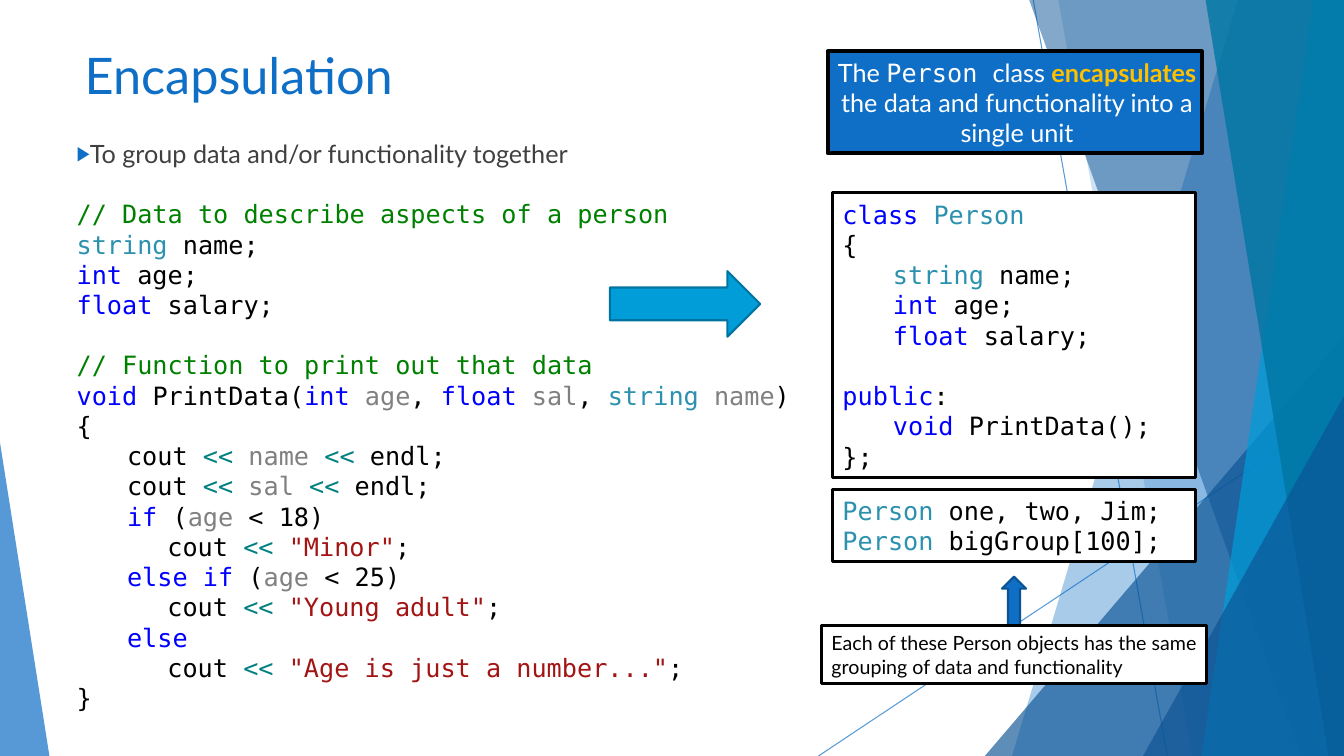
from dataclasses import dataclass

from lxml.etree import SubElement
from pptx import Presentation
from pptx.dml.color import RGBColor
from pptx.enum.shapes import MSO_CONNECTOR, MSO_SHAPE
from pptx.enum.text import MSO_ANCHOR, MSO_AUTO_SIZE, PP_ALIGN
from pptx.oxml.ns import qn
from pptx.slide import Slide
from pptx.text.text import TextFrame
from pptx.util import Emu, Inches, Pt

WIDTH, HEIGHT = Inches(13.33), Inches(7.5)
LATO, MONO = "Lato", "DejaVu Sans Mono"
INDENTS = (0, 0.5, 0.9)

BLUE = RGBColor(0x0F, 0x6F, 0xC6)
NAVY = RGBColor(0x0B, 0x53, 0x94)
CYAN = RGBColor(0x00, 0x9D, 0xD9)
DEEP_CYAN = RGBColor(0x00, 0x76, 0xA3)
CYAN_EDGE = RGBColor(0x00, 0x74, 0xA1)
BLUE_EDGE = RGBColor(0x0B, 0x52, 0x92)
GOLD = RGBColor(0xFF, 0xC0, 0x00)
CHARCOAL = RGBColor(0x40, 0x40, 0x40)
WHITE = RGBColor(0xFF, 0xFF, 0xFF)
BLACK = RGBColor(0x00, 0x00, 0x00)
KEYWORD = RGBColor(0x00, 0x00, 0xFF)
TYPE = RGBColor(0x2B, 0x91, 0xAF)
COMMENT = RGBColor(0x00, 0x80, 0x00)
PARAMETER = RGBColor(0x80, 0x80, 0x80)
OPERATOR = RGBColor(0x00, 0x80, 0x80)
STRING = RGBColor(0xA3, 0x15, 0x15)


@dataclass(frozen=True)
class Span:
    text: str
    color: RGBColor = BLACK
    font: str = MONO
    bold: bool = False


@dataclass(frozen=True)
class Line:
    spans: tuple[Span, ...]
    level: int = 0
    gap: bool = False
    bullet: bool = False


@dataclass(frozen=True)
class Area:
    left: float
    top: float
    width: float
    height: float

    def lengths(self) -> tuple[Emu, Emu, Emu, Emu]:
        return across(self.left), down(self.top), across(self.width), down(self.height)


@dataclass(frozen=True)
class Ray:
    start: tuple[float, float]
    end: tuple[float, float]


@dataclass(frozen=True)
class Band:
    corners: tuple[tuple[float, float], ...]
    color: RGBColor
    opacity: int


@dataclass(frozen=True)
class Block:
    area: Area
    fill: RGBColor
    edge: RGBColor
    edge_width: float
    kind: MSO_SHAPE = MSO_SHAPE.RECTANGLE
    lines: tuple[Line, ...] = ()
    size: int = 18
    alignment: PP_ALIGN = PP_ALIGN.LEFT


def across(share: float) -> Emu:
    return Emu(round(WIDTH * share / 100))


def down(share: float) -> Emu:
    return Emu(round(HEIGHT * share / 100))


def code(*parts: str | tuple[str, RGBColor], level: int = 0, gap: bool = False) -> Line:
    spans = tuple(Span(part) if isinstance(part, str) else Span(*part) for part in parts)
    return Line(spans, level, gap)


def output(value: tuple[str, RGBColor], *ending: str | tuple[str, RGBColor], level: int) -> Line:
    return code("cout ", ("<< ", OPERATOR), value, *ending, level=level)


RAYS = (Ray((76.88, 0), (86.85, 100)), Ray((100, 53.73), (60.9, 100)))
BANDS = (
    Band(((92.1, 0), (100, 0), (100, 100), (75.3, 100)), BLUE, 36),
    Band(((78.75, 0), (100, 0), (100, 100), (88.73, 100)), BLUE, 20),
    Band(((100, 44.4), (100, 100), (73.28, 100)), NAVY, 66),
    Band(((76.58, 0), (100, 0), (100, 100), (96.83, 100)), NAVY, 50),
    Band(((97.73, 0), (100, 0), (100, 100), (89.4, 100)), CYAN, 70),
    Band(((89.7, 0), (100, 0), (100, 100), (98.85, 100)), DEEP_CYAN, 80),
    Band(((100, 52.4), (100, 100), (85.05, 100)), NAVY, 66),
    Band(((0, 58.53), (3.68, 100), (0, 100)), BLUE, 70),
)
TITLE = (Line((Span("Encapsulation", BLUE, LATO),)),)
BODY = (
    Line((Span("To group data and/or functionality together", CHARCOAL, LATO),), bullet=True),
    code(("// Data to describe aspects of a person", COMMENT), gap=True),
    code(("string ", TYPE), "name;"),
    code(("int", KEYWORD), " age;"),
    code(("float", KEYWORD), " salary;"),
    code(("// Function to print out that data", COMMENT), gap=True),
    code(("void ", KEYWORD), "PrintData(", ("int ", KEYWORD), ("age", PARAMETER), ", ",
         ("float ", KEYWORD), ("sal", PARAMETER), ", ", ("string ", TYPE), ("name", PARAMETER), ")"),
    code("{"),
    output(("name ", PARAMETER), ("<< ", OPERATOR), "endl;", level=1),
    output(("sal ", PARAMETER), ("<< ", OPERATOR), "endl;", level=1),
    code(("if", KEYWORD), " (", ("age", PARAMETER), " < 18)", level=1),
    output(('"Minor"', STRING), ";", level=2),
    code(("else if", KEYWORD), " (", ("age", PARAMETER), " < 25)", level=1),
    output(('"Young adult"', STRING), ";", level=2),
    code(("else", KEYWORD), level=1),
    output(('"Age is just a number..."', STRING), ";", level=2),
    code("}"),
)
PERSON_CLASS = (
    code(("class ", KEYWORD), ("Person", TYPE)),
    code("{"),
    code(("string ", TYPE), "name;", level=1),
    code(("int ", KEYWORD), "age;", level=1),
    code(("float ", KEYWORD), "salary;", level=1),
    code(("public", KEYWORD), ":", gap=True),
    code(("void ", KEYWORD), "PrintData();", level=1),
    code("};"),
)
INSTANCES = (code(("Person ", TYPE), "one, two, Jim;"), code(("Person ", TYPE), "bigGroup[100];"))
SUMMARY = (Line((
    Span("The ", WHITE, LATO), Span("Person ", WHITE), Span("class ", WHITE, LATO),
    Span("encapsulates", GOLD, LATO, True),
    Span(" the data and functionality into a single unit", WHITE, LATO),
)),)
NOTE = (Line((Span(
    "Each of these Person objects has the same grouping of data and functionality", BLACK, LATO),)),)
BLOCKS = (
    Block(Area(45.38, 35.87, 11.18, 8.67), CYAN, CYAN_EDGE, 1.5, MSO_SHAPE.RIGHT_ARROW),
    Block(Area(61.95, 25.47, 27, 37.73), WHITE, BLACK, 2.25, lines=PERSON_CLASS),
    Block(Area(61.58, 6.8, 27.83, 13.47), BLUE, BLACK, 3, lines=SUMMARY, alignment=PP_ALIGN.CENTER),
    Block(Area(74.55, 76.27, 1.8, 6.93), BLUE, BLUE_EDGE, 1.5, MSO_SHAPE.UP_ARROW),
    Block(Area(61.13, 82.8, 28.65, 7.6), WHITE, BLACK, 2.25, lines=NOTE, size=14),
    Block(Area(61.95, 64.8, 27, 9.47), WHITE, BLACK, 2.25, lines=INSTANCES),
)


def set_opacity(properties, opacity: int) -> None:
    for color in properties.iter(qn("a:srgbClr")):
        SubElement(color, qn("a:alpha"), val=str(opacity * 1000))


def write_lines(frame: TextFrame, lines: tuple[Line, ...], size: int,
                alignment: PP_ALIGN = PP_ALIGN.LEFT, anchor: MSO_ANCHOR = MSO_ANCHOR.TOP) -> None:
    frame.word_wrap = True
    frame.auto_size = MSO_AUTO_SIZE.NONE
    frame.vertical_anchor = anchor
    frame.margin_right = Inches(0.05)
    pitch = Pt(size * 1.2)
    for index, line in enumerate(lines):
        paragraph = frame.add_paragraph() if index else frame.paragraphs[0]
        paragraph.alignment = alignment
        paragraph.line_spacing = pitch
        paragraph.space_before = pitch if line.gap else Pt(0)
        properties = paragraph._p.get_or_add_pPr()
        properties.set("marL", str(Inches(INDENTS[line.level])))
        properties.set("indent", "0")
        if line.bullet:
            SubElement(SubElement(properties, qn("a:buClr")), qn("a:srgbClr"), val=str(BLUE))
            SubElement(properties, qn("a:buSzPct"), val="80000")
            SubElement(properties, qn("a:buChar"), char="▶")
        else:
            SubElement(properties, qn("a:buNone"))
        for span in line.spans:
            run = paragraph.add_run()
            run.text = span.text
            run.font.name, run.font.size, run.font.bold = span.font, Pt(size), span.bold
            run.font.color.rgb = span.color


def draw_ray(slide: Slide, ray: Ray) -> None:
    (x1, y1), (x2, y2) = ray.start, ray.end
    connector = slide.shapes.add_connector(MSO_CONNECTOR.STRAIGHT, across(x1), down(y1), across(x2), down(y2))
    connector.line.color.rgb = BLUE
    connector.line.width = Pt(0.75)
    set_opacity(connector._element.spPr, 70)
    SubElement(connector._element.spPr, qn("a:effectLst"))


def draw_band(slide: Slide, band: Band) -> None:
    first, *others = [(across(x), down(y)) for x, y in band.corners]
    builder = slide.shapes.build_freeform(*first)
    builder.add_line_segments(others, close=True)
    shape = builder.convert_to_shape()
    shape.shadow.inherit = False
    shape.fill.solid()
    shape.fill.fore_color.rgb = band.color
    shape.line.fill.background()
    set_opacity(shape._element.spPr, band.opacity)


def draw_block(slide: Slide, block: Block) -> None:
    shape = slide.shapes.add_shape(block.kind, *block.area.lengths())
    shape.shadow.inherit = False
    shape.fill.solid()
    shape.fill.fore_color.rgb = block.fill
    shape.line.color.rgb = block.edge
    shape.line.width = Pt(block.edge_width)
    if block.lines:
        write_lines(shape.text_frame, block.lines, block.size, block.alignment, MSO_ANCHOR.MIDDLE)


def fill_placeholder(slide: Slide, index: int, area: Area, lines: tuple[Line, ...], size: int) -> None:
    shape = slide.placeholders[index]
    shape.left, shape.top, shape.width, shape.height = area.lengths()
    write_lines(shape.text_frame, lines, size)
    slide.shapes._spTree.append(shape._element)


def main() -> None:
    presentation = Presentation()
    presentation.slide_width, presentation.slide_height = WIDTH, HEIGHT
    slide = presentation.slides.add_slide(presentation.slide_layouts[1])
    for ray in RAYS:
        draw_ray(slide, ray)
    for band in BANDS:
        draw_band(slide, band)
    fill_placeholder(slide, 0, Area(5.55, 5.2, 70.5, 12.4), TITLE, 36)
    fill_placeholder(slide, 1, Area(4.95, 17.6, 81.23, 74.27), BODY, 18)
    for block in BLOCKS:
        draw_block(slide, block)
    presentation.save("out.pptx")


if __name__ == "__main__":
    main()
